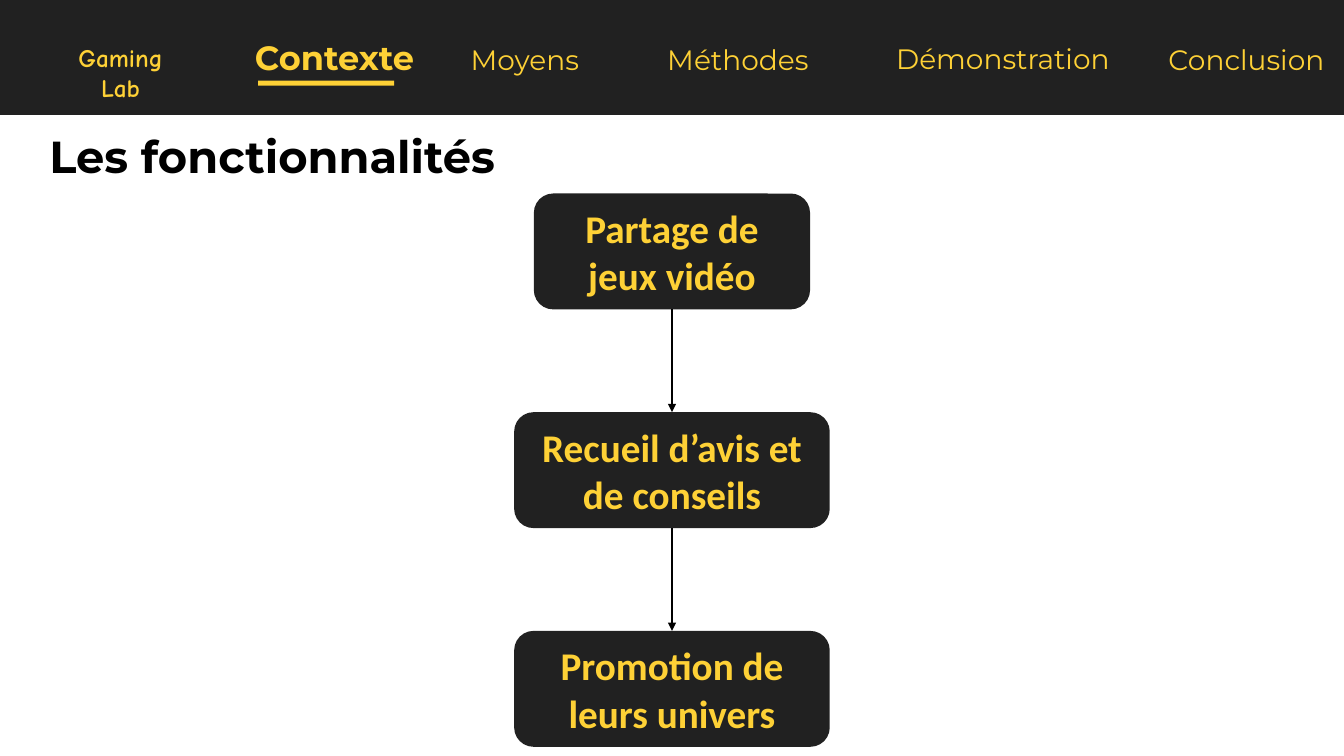
"""Build the features slide: a navigation bar above a three-step flow."""
from dataclasses import dataclass
from itertools import pairwise

from lxml.etree import SubElement
from pptx import Presentation
from pptx.dml.color import RGBColor
from pptx.enum.shapes import MSO_CONNECTOR, MSO_SHAPE
from pptx.enum.text import MSO_ANCHOR, PP_ALIGN
from pptx.oxml.ns import qn
from pptx.util import Inches, Pt


@dataclass(frozen=True)
class Theme:
    dark: str = "212121"
    accent: str = "FED136"
    ink: str = "000000"
    heading_font: str = "Montserrat"
    brand_font: str = "Comic Neue"
    step_font: str = "Calibri"
    title_size: int = 32
    step_size: int = 28
    active_size: int = 24
    nav_size: int = 20
    brand_size: int = 18
    arrow_width: float = 1.5


class SlideBuilder:
    def __init__(self, deck, theme):
        self.theme = theme
        self.column = deck.slide_width / 100
        self.row = deck.slide_height / 100
        self.slide = deck.slides.add_slide(deck.slide_layouts[6])

    def place(self, left, top, width, height):
        return (round(left * self.column), round(top * self.row),
                round(width * self.column), round(height * self.row))

    def fill_text(self, holder, words, font, size, color, bold, align):
        frame = holder.text_frame
        frame.text = words
        frame.word_wrap = True
        paragraph = frame.paragraphs[0]
        paragraph.alignment = align
        for run in paragraph.runs:
            run.font.name = font
            run.font.size = Pt(size)
            run.font.bold = bold
            run.font.color.rgb = RGBColor.from_string(color)

    def block(self, area, color, kind=MSO_SHAPE.RECTANGLE):
        block = self.slide.shapes.add_shape(kind, *self.place(*area))
        block.shadow.inherit = False
        block.fill.solid()
        block.fill.fore_color.rgb = RGBColor.from_string(color)
        block.line.fill.background()
        return block

    def label(self, area, words, font, size, color, bold=False, align=PP_ALIGN.LEFT):
        label = self.slide.shapes.add_textbox(*self.place(*area))
        self.fill_text(label, words, font, size, color, bold, align)

    def step(self, top, width, words):
        step = self.block((50 - width / 2, top, width, 15.33), self.theme.dark,
                          MSO_SHAPE.ROUNDED_RECTANGLE)
        step.text_frame.vertical_anchor = MSO_ANCHOR.MIDDLE
        self.fill_text(step, words, self.theme.step_font, self.theme.step_size,
                       self.theme.accent, True, PP_ALIGN.CENTER)
        return step

    def arrow(self, source, target):
        arrow = self.slide.shapes.add_connector(MSO_CONNECTOR.STRAIGHT, 0, 0, 0, 0)
        arrow.begin_connect(source, 2)
        arrow.end_connect(target, 0)
        arrow.line.color.rgb = RGBColor.from_string(self.theme.ink)
        arrow.line.width = Pt(self.theme.arrow_width)
        SubElement(arrow.get_or_add_ln(), qn("a:tailEnd"), type="triangle")
        SubElement(arrow.element.spPr, qn("a:effectLst"))


def main():
    deck = Presentation()
    deck.slide_width, deck.slide_height = Inches(13.33), Inches(7.5)
    theme = Theme()
    page = SlideBuilder(deck, theme)

    page.block((0, 0, 100, 15.2), theme.dark)
    page.label((18.23, 4.27, 13.73, 6.67), "Contexte", theme.heading_font,
               theme.active_size, theme.accent, bold=True)
    sections = [
        ("Moyens", 34.28, 4.93, 9.6),
        ("Méthodes", 48.91, 4.93, 13.28),
        ("Démonstration", 65.94, 4.8, 18.23),
        ("Conclusion", 86.2, 4.93, 13.28),
    ]
    for section, left, top, width in sections:
        page.label((left, top, width, 5.87), section, theme.heading_font,
                   theme.nav_size, theme.accent)
    page.block((19.2, 10.67, 10.13, 0.67), theme.accent)
    page.label((3.75, 4.93, 10.43, 5.33), "Gaming Lab", theme.brand_font,
               theme.brand_size, theme.accent, bold=True, align=PP_ALIGN.CENTER)

    features = [
        ("Partage de jeux vidéo", 20.55),
        ("Recueil d’avis et de conseils", 23.48),
        ("Promotion de leurs univers", 23.48),
    ]
    steps = [page.step(25.6 + 28.93 * rank, width, feature)
             for rank, (feature, width) in enumerate(features)]
    for source, target in pairwise(steps):
        page.arrow(source, target)

    page.label((2.93, 16.4, 64.9, 8.53), "Les fonctionnalités", theme.heading_font,
               theme.title_size, theme.ink, bold=True)
    deck.save("out.pptx")


if __name__ == "__main__":
    main()
